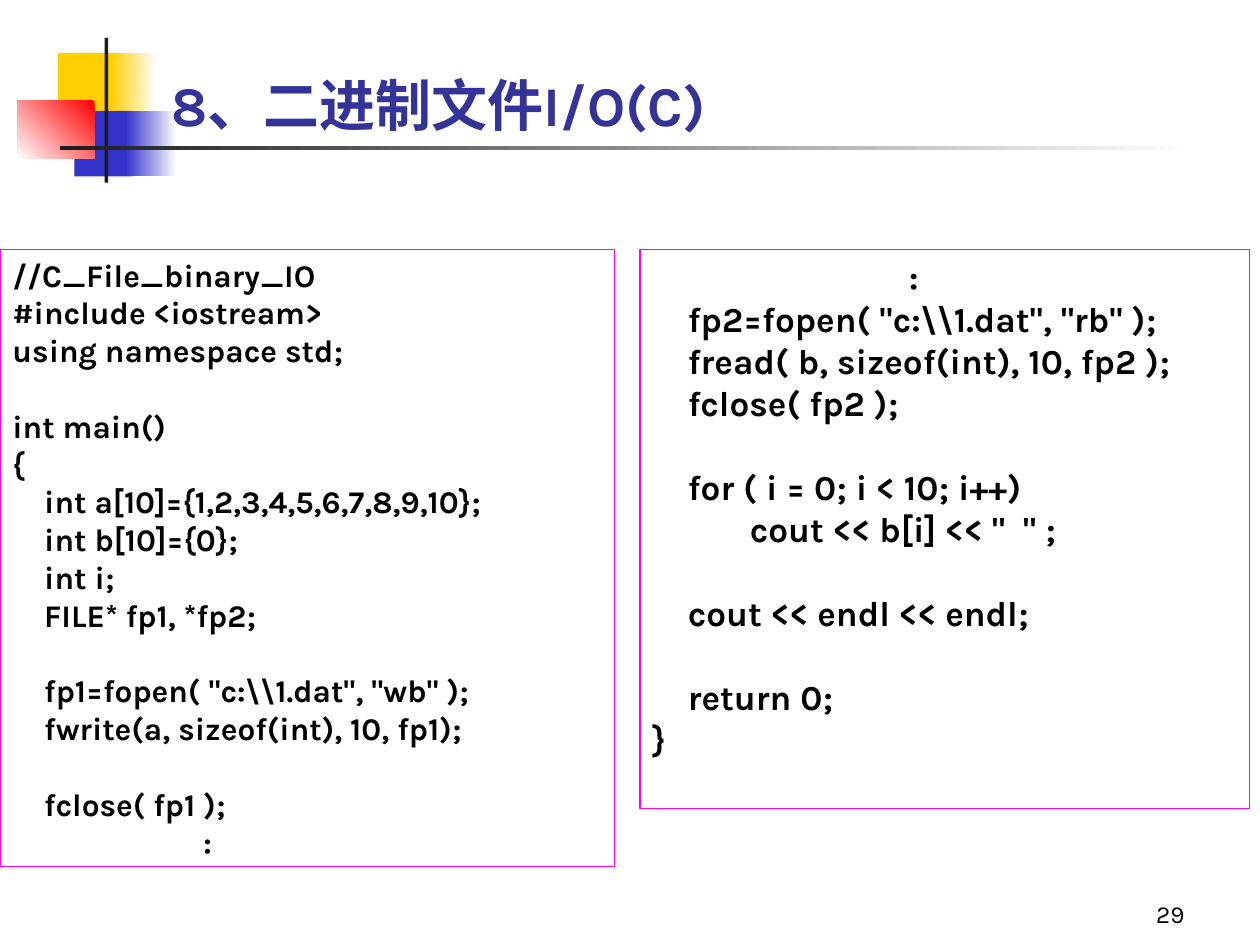
from typing import NamedTuple, Optional

from pptx import Presentation
from pptx.dml.color import RGBColor
from pptx.enum.shapes import MSO_SHAPE as Shape
from pptx.enum.text import MSO_ANCHOR as Anchor, MSO_AUTO_SIZE as AutoSize, PP_ALIGN as Align
from pptx.util import Inches, Pt

FONT = "Karla"
WHITE, BLACK, DARK = "FFFFFF", "000000", "1C1C1C"
YELLOW, BLUE, RED = "FFCF01", "3333CC", "FF0000"
TITLE_COLOR, MAGENTA = "333399", "FF00FF"


class Area(NamedTuple):
    left: float
    top: float
    width: float
    height: float


class Block(NamedTuple):
    area: Area
    start: str
    end: Optional[str] = None  # a second colour makes a gradient
    angle: int = 180  # counter-clockwise


class Listing(NamedTuple):
    area: Area
    size: int
    code: str


# Decoration behind the title
BLOCKS = [
    Block(Area(0.46, 0.42, 0.48, 0.52), YELLOW),
    Block(Area(0.88, 0.42, 0.36, 0.52), WHITE, YELLOW),
    Block(Area(0.59, 0.88, 0.46, 0.52), BLUE),
    Block(Area(1, 0.88, 0.4, 0.52), WHITE, BLUE),
    Block(Area(0.14, 0.8, 0.61, 0.46), RED, WHITE, 225),
    Block(Area(0.83, 0.3, 0.03, 1.15), DARK),
    Block(Area(0.48, 1.16, 9, 0.03), WHITE, DARK),
]

LISTINGS = [
    Listing(Area(0, 1.98, 4.88, 4.9), 18, r'''//C_File_binary_IO
#include <iostream>
using namespace std;

int main()
{
    int a[10]={1,2,3,4,5,6,7,8,9,10};
    int b[10]={0};
    int i;
    FILE* fp1, *fp2;

    fp1=fopen( "c:\\1.dat", "wb" );
    fwrite(a, sizeof(int), 10, fp1);

    fclose( fp1 );
                        :'''),
    Listing(Area(5.08, 1.98, 4.84, 4.44), 20, r'''                             :
    fp2=fopen( "c:\\1.dat", "rb" );
    fread( b, sizeof(int), 10, fp2 );
    fclose( fp2 );

    for ( i = 0; i < 10; i++)
           cout << b[i] << "  " ;

    cout << endl << endl;

    return 0;
}'''),
]


def rgb(color: str) -> RGBColor:
    return RGBColor.from_string(color)


def add_rectangle(page, area: Area):
    box = page.shapes.add_shape(Shape.RECTANGLE, *map(Inches, area))
    box.shadow.inherit = False
    return box


def write(box, text: str, size: int, color: str = BLACK, bold: bool = False,
          align=Align.LEFT, anchor=Anchor.TOP) -> None:
    frame = box.text_frame
    frame.text = text
    frame.word_wrap = True
    frame.vertical_anchor = anchor
    for para in frame.paragraphs:
        para.alignment = align
        for font in [para.font] + [span.font for span in para.runs]:
            font.name = FONT
            font.size = Pt(size)
            font.bold = bold
            font.color.rgb = rgb(color)


def draw_block(page, block: Block) -> None:
    box = add_rectangle(page, block.area)
    box.line.fill.background()
    if block.end is None:
        box.fill.solid()
        box.fill.fore_color.rgb = rgb(block.start)
        return
    box.fill.gradient()
    box.fill.gradient_angle = block.angle
    for stop, color, position in zip(box.fill.gradient_stops, (block.start, block.end), (0, 1)):
        stop.color.rgb = rgb(color)
        stop.position = position


def draw_listing(page, listing: Listing) -> None:
    box = add_rectangle(page, listing.area)
    box.fill.background()
    box.line.color.rgb = rgb(MAGENTA)
    box.line.width = Pt(0.75)
    write(box, listing.code, listing.size, bold=True)
    box.text_frame.auto_size = AutoSize.SHAPE_TO_FIT_TEXT


def main() -> None:
    deck = Presentation()
    deck.slide_width, deck.slide_height = Inches(10), Inches(7.5)
    page = deck.slides.add_slide(deck.slide_layouts[6])

    for block in BLOCKS:
        draw_block(page, block)

    # Title
    title = page.shapes.add_textbox(*map(Inches, Area(1.26, -0.11, 8.52, 1.25)))
    write(title, "8、二进制文件I/O(C)", 32, TITLE_COLOR, bold=True, anchor=Anchor.BOTTOM)

    # The two halves of the program
    for listing in LISTINGS:
        draw_listing(page, listing)

    # Page number
    number = page.shapes.add_textbox(*map(Inches, Area(7.42, 6.92, 2.08, 0.5)))
    write(number, "29", 14, align=Align.RIGHT, anchor=Anchor.BOTTOM)

    deck.save("out.pptx")


if __name__ == "__main__":
    main()
